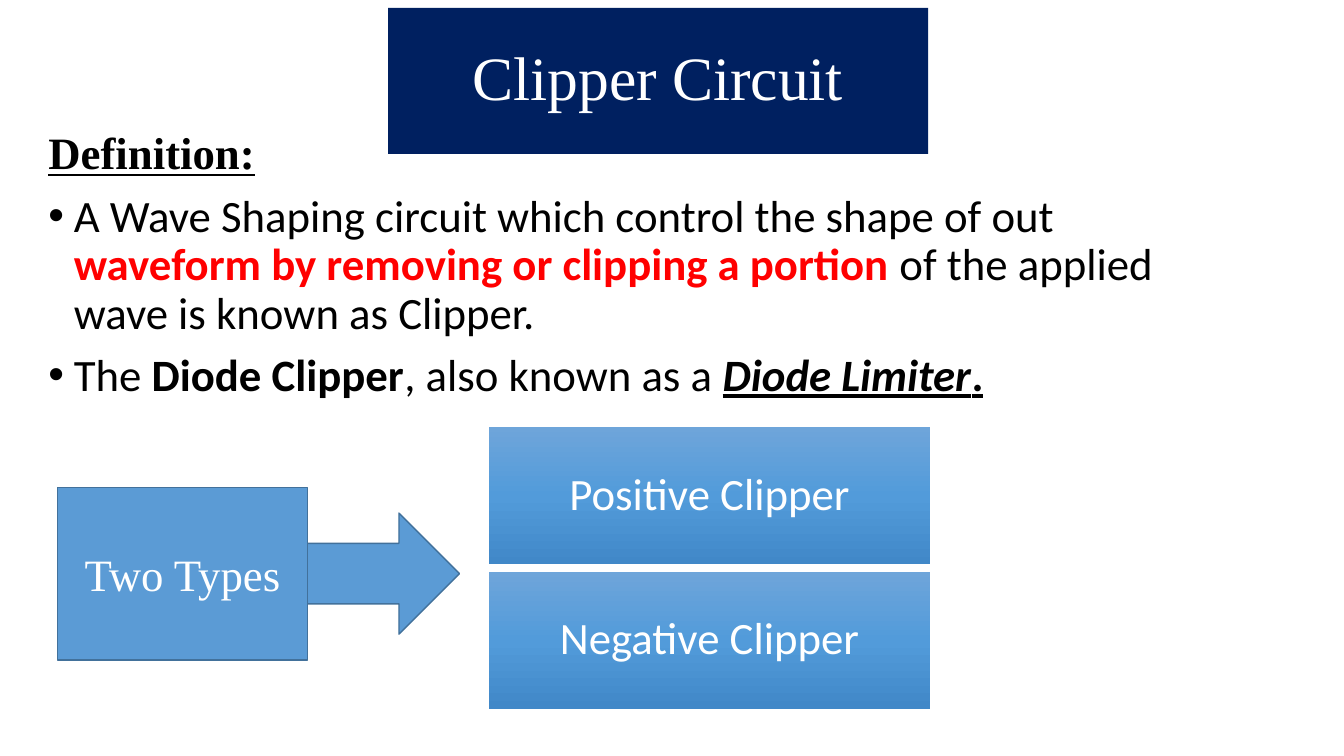
from copy import deepcopy
from dataclasses import dataclass

from lxml.etree import SubElement
from pptx import Presentation
from pptx.dml.color import RGBColor
from pptx.enum.shapes import MSO_SHAPE as Shape
from pptx.enum.text import MSO_ANCHOR as Anchor, PP_ALIGN as Align
from pptx.oxml.ns import qn
from pptx.util import Cm, Pt


@dataclass(frozen=True)
class Theme:
    navy: str = "002060"
    blue: str = "5B9BD5"
    outline: str = "42719B"
    white: str = "FFFFFF"
    black: str = "000000"
    red: str = "FF0000"
    gradient: tuple = ((0, "6EA5DA"), (0.5, "529BDA"), (1, "4188C8"))
    serif: str = "Times New Roman"
    sans: str = "Calibri"
    title_size: int = 44
    text_size: int = 32
    tight: float = 0.9


class SlideBuilder:
    def __init__(self, slide, theme):
        self.slide = slide
        self.theme = theme

    def style(self, font, name, size, color, bold=False, italic=False, underline=False):
        font.name, font.size = name, Pt(size)
        font.color.rgb = RGBColor.from_string(color)
        font.bold, font.italic, font.underline = bold, italic, underline

    def shape(self, kind, place, fill=None, outline=None):
        """Add a preset shape; without a fill colour it gets the gradient."""
        shape = self.slide.shapes.add_shape(kind, *map(Cm, place))
        shape.shadow.inherit = False
        if fill:
            shape.fill.solid()
            shape.fill.fore_color.rgb = RGBColor.from_string(fill)
        else:
            self.apply_gradient(shape)
        if outline:
            shape.line.color.rgb = RGBColor.from_string(outline)
            shape.line.width = Pt(1)
        else:
            shape.line.fill.background()
        return shape

    def apply_gradient(self, shape):
        shape.fill.gradient()
        shape.fill.gradient_angle = 270
        stop_list = shape.element.find(".//" + qn("a:gsLst"))
        stop_list.append(deepcopy(stop_list[-1]))
        for stop, (position, color) in zip(shape.fill.gradient_stops, self.theme.gradient):
            stop.position = position
            stop.color.rgb = RGBColor.from_string(color)

    def label_box(self, text, place, font, size, spacing=1.0, **look):
        """Add a rectangle with centred white text."""
        frame = self.shape(Shape.RECTANGLE, place, **look).text_frame
        frame.text = text
        frame.word_wrap = True
        frame.vertical_anchor = Anchor.MIDDLE
        para = frame.paragraphs[0]
        para.alignment = Align.CENTER
        para.line_spacing = spacing
        self.style(para.runs[0].font, font, size, self.theme.white)

    def text_box(self, place, heading, bullets):
        """Add an underlined heading followed by bullets of styled runs."""
        theme = self.theme
        frame = self.slide.shapes.add_textbox(*map(Cm, place)).text_frame
        frame.word_wrap = True
        frame.text = heading
        para = frame.paragraphs[0]
        para.line_spacing = theme.tight
        self.style(para.runs[0].font, theme.serif, theme.text_size, theme.black,
                   bold=True, underline=True)
        for spans in bullets:
            para = frame.add_paragraph()
            self.bullet(para)
            para.line_spacing = theme.tight
            para.space_before = Pt(10)
            for text, look in spans:
                span = para.add_run()
                span.text = text
                self.style(span.font, theme.sans, theme.text_size,
                           **{"color": theme.black, **look})

    def bullet(self, para):
        props = para._p.get_or_add_pPr()
        props.set("marL", str(Cm(0.64)))
        props.set("indent", str(-Cm(0.64)))
        SubElement(props, qn("a:buFont"), typeface="Arial")
        SubElement(props, qn("a:buChar"), char="•")


def main():
    theme = Theme()
    deck = Presentation()
    deck.slide_width, deck.slide_height = Cm(33.87), Cm(19.05)
    page = SlideBuilder(deck.slides.add_slide(deck.slide_layouts[6]), theme)

    # Title
    page.label_box("Clipper Circuit", (9.78, 0.2, 13.61, 3.68), theme.serif,
                   theme.title_size, theme.tight, fill=theme.navy)

    # Definition
    bold = {"bold": True}
    page.text_box((0.97, 3.18, 29.21, 12.09), "Definition:", [
        [("A Wave Shaping circuit which control the shape of out ", {}),
         ("waveform by removing or clipping a portion ", {"color": theme.red, **bold}),
         ("of the applied wave is known as Clipper.", {})],
        [("The ", {}),
         ("Diode Clipper", bold),
         (", also known as a ", {}),
         ("Diode Limiter", {"italic": True, "underline": True, **bold}),
         (".", {"underline": True, **bold})],
    ])

    # Clipper types
    top, pitch = 10.77, 3.64
    for row, name in enumerate(("Positive Clipper", "Negative Clipper")):
        page.label_box(name, (12.32, top + row * pitch, 11.13, 3.45), theme.sans,
                       theme.text_size, theme.tight)

    # Arrow leading from the source box to the types
    blue_look = {"fill": theme.blue, "outline": theme.outline}
    page.shape(Shape.RIGHT_ARROW, (7.29, 12.93, 4.29, 3.05), **blue_look)
    page.label_box("Two Types", (1.45, 12.29, 6.3, 4.34), theme.serif,
                   theme.text_size, **blue_look)

    deck.save("out.pptx")


if __name__ == "__main__":
    main()
